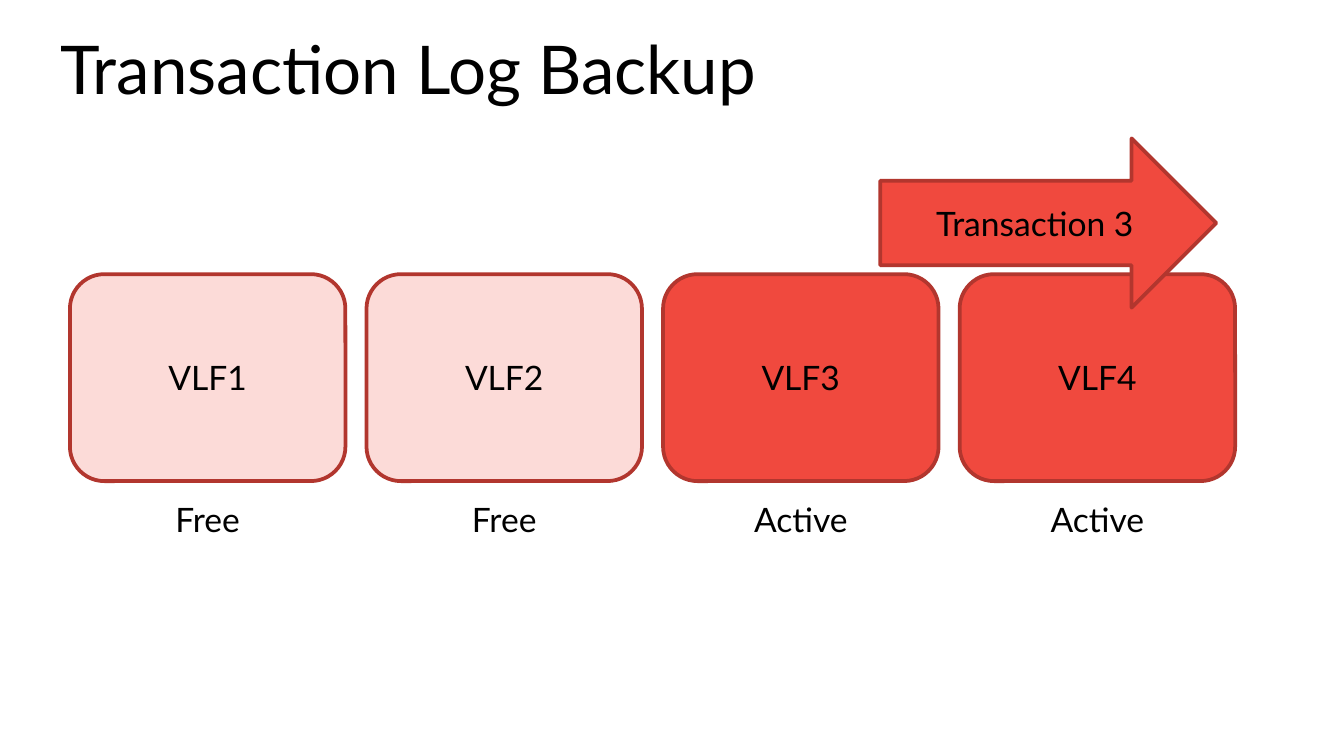
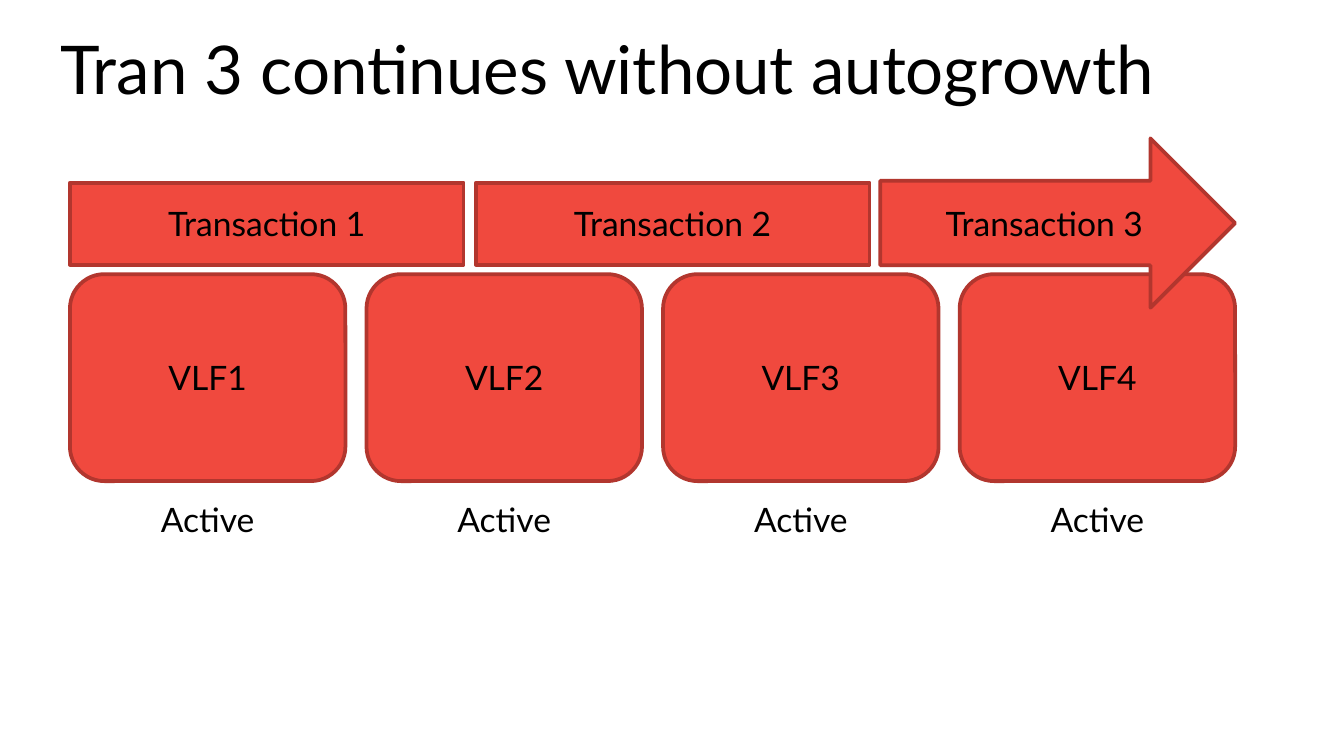
from dataclasses import dataclass
from typing import Optional

from pptx import Presentation
from pptx.dml.color import RGBColor
from pptx.enum.shapes import MSO_SHAPE
from pptx.enum.text import MSO_ANCHOR, MSO_AUTO_SIZE, PP_ALIGN
from pptx.slide import Slide
from pptx.util import Inches, Pt

ROUNDED = MSO_SHAPE.ROUNDED_RECTANGLE
RECTANGLE = MSO_SHAPE.RECTANGLE
RIGHT_ARROW = MSO_SHAPE.RIGHT_ARROW
CENTER = PP_ALIGN.CENTER
LEFT = PP_ALIGN.LEFT
TOP = MSO_ANCHOR.TOP
NO_AUTOFIT = MSO_AUTO_SIZE.NONE
FIT_SHAPE = MSO_AUTO_SIZE.SHAPE_TO_FIT_TEXT

BLACK = RGBColor(0x00, 0x00, 0x00)
RED = RGBColor(0xF0, 0x49, 0x3E)
DARK_RED = RGBColor(0xB2, 0x36, 0x2E)
PALE_RED = RGBColor(0xFC, 0xDB, 0xD8)
FONT = "Lato"
TITLE_ONLY_LAYOUT = 5
SLIDE_WIDTH = Inches(10)
SLIDE_HEIGHT = SLIDE_WIDTH * 9 // 16

FIRST_VLF_LEFT = 0.52
LAST_VLF_LEFT = 7.14
VLF_TOP = 2.04
VLF_WIDTH = 2.05
VLF_HEIGHT = 1.54
VLF_LABEL_WIDTH = 1.51
STATUS_TOP = 3.66
STATUS_WIDTH = 1.05
LABEL_HEIGHT = 0.4

BAR_TOP = 1.36
BAR_HEIGHT = 0.61
ARROW_TOP = 1.03
ARROW_HEIGHT = 1.26
TRANSACTION_LABEL_TOP = 1.46
BAR_LABEL_MARGIN = 0.43
ARROW_LABEL_MARGIN = 0.12
ARROW_TIP = 0.32


@dataclass(frozen=True)
class Transaction:
    label: str
    left: float
    width: float
    continues: bool = False


@dataclass(frozen=True)
class LogState:
    title: str
    statuses: tuple[str, ...]
    transactions: tuple[Transaction, ...]


LOG_STATES = (
    LogState(
        "Transaction Log Backup",
        ("Free", "Free", "Active", "Active"),
        (Transaction("Transaction 3", 6.55, 2.5, continues=True),),
    ),
    LogState(
        "Tran 3 continues without autogrowth",
        ("Active",) * 4,
        (
            Transaction("Transaction 1", 0.52, 2.93),
            Transaction("Transaction 2", 3.54, 2.93),
            Transaction("Transaction 3", 6.55, 2.64, continues=True),
        ),
    ),
)


def set_title(slide: Slide, text: str) -> None:
    title = slide.shapes.title
    title.left, title.top = Inches(0.35), Inches(0.27)
    title.width, title.height = Inches(9.27), Inches(0.67)
    frame = title.text_frame
    frame.text = text
    frame.word_wrap = True
    frame.auto_size = NO_AUTOFIT
    frame.vertical_anchor = TOP
    paragraph = frame.paragraphs[0]
    paragraph.alignment = LEFT
    paragraph.line_spacing = Pt(35)
    paragraph.font.name = FONT
    paragraph.font.size = Pt(36)
    paragraph.font.color.rgb = BLACK


def add_block(slide: Slide, preset: MSO_SHAPE, left: float, top: float,
              width: float, height: float, fill: RGBColor) -> None:
    block = slide.shapes.add_shape(
        preset, Inches(left), Inches(top), Inches(width), Inches(height))
    block.shadow.inherit = False
    block.fill.solid()
    block.fill.fore_color.rgb = fill
    block.line.color.rgb = DARK_RED
    block.line.width = Pt(2)


def add_label(slide: Slide, text: str, left: float, top: float, width: float,
              fill: Optional[RGBColor] = None) -> None:
    label = slide.shapes.add_textbox(
        Inches(left), Inches(top), Inches(width), Inches(LABEL_HEIGHT))
    if fill is not None:
        label.fill.solid()
        label.fill.fore_color.rgb = fill
    frame = label.text_frame
    frame.text = text
    frame.word_wrap = True
    frame.auto_size = FIT_SHAPE
    paragraph = frame.paragraphs[0]
    paragraph.alignment = CENTER
    paragraph.font.name = FONT
    paragraph.font.size = Pt(18)
    paragraph.font.color.rgb = BLACK


def add_vlf(slide: Slide, number: int, left: float, status: str) -> None:
    is_free = status == "Free"
    add_block(slide, ROUNDED, left, VLF_TOP, VLF_WIDTH, VLF_HEIGHT,
              PALE_RED if is_free else RED)
    add_label(slide, f"VLF{number}",
              left + (VLF_WIDTH - VLF_LABEL_WIDTH) / 2,
              VLF_TOP + (VLF_HEIGHT - LABEL_HEIGHT) / 2,
              VLF_LABEL_WIDTH, PALE_RED if is_free else None)


def add_status(slide: Slide, status: str, vlf_left: float) -> None:
    add_label(slide, status, vlf_left + (VLF_WIDTH - STATUS_WIDTH) / 2,
              STATUS_TOP, STATUS_WIDTH)


def add_transaction(slide: Slide, transaction: Transaction) -> None:
    left, width = transaction.left, transaction.width
    if transaction.continues:
        add_block(slide, RIGHT_ARROW, left, ARROW_TOP, width, ARROW_HEIGHT, RED)
        margin_left, margin_right = ARROW_LABEL_MARGIN, ARROW_TIP
    else:
        add_block(slide, RECTANGLE, left, BAR_TOP, width, BAR_HEIGHT, RED)
        margin_left = margin_right = BAR_LABEL_MARGIN
    add_label(slide, transaction.label, left + margin_left,
              TRANSACTION_LABEL_TOP, width - margin_left - margin_right)


def add_log_slide(presentation: Presentation, state: LogState) -> None:
    slide = presentation.slides.add_slide(
        presentation.slide_layouts[TITLE_ONLY_LAYOUT])
    set_title(slide, state.title)
    pitch = (LAST_VLF_LEFT - FIRST_VLF_LEFT) / (len(state.statuses) - 1)
    vlf_lefts = [FIRST_VLF_LEFT + index * pitch
                 for index in range(len(state.statuses))]
    for number, (left, status) in enumerate(zip(vlf_lefts, state.statuses), 1):
        add_vlf(slide, number, left, status)
    for transaction in state.transactions:
        add_transaction(slide, transaction)
    for left, status in zip(vlf_lefts, state.statuses):
        add_status(slide, status, left)


def main() -> None:
    presentation = Presentation()
    presentation.slide_width = SLIDE_WIDTH
    presentation.slide_height = SLIDE_HEIGHT
    for state in LOG_STATES:
        add_log_slide(presentation, state)
    presentation.save("out.pptx")


if __name__ == "__main__":
    main()
